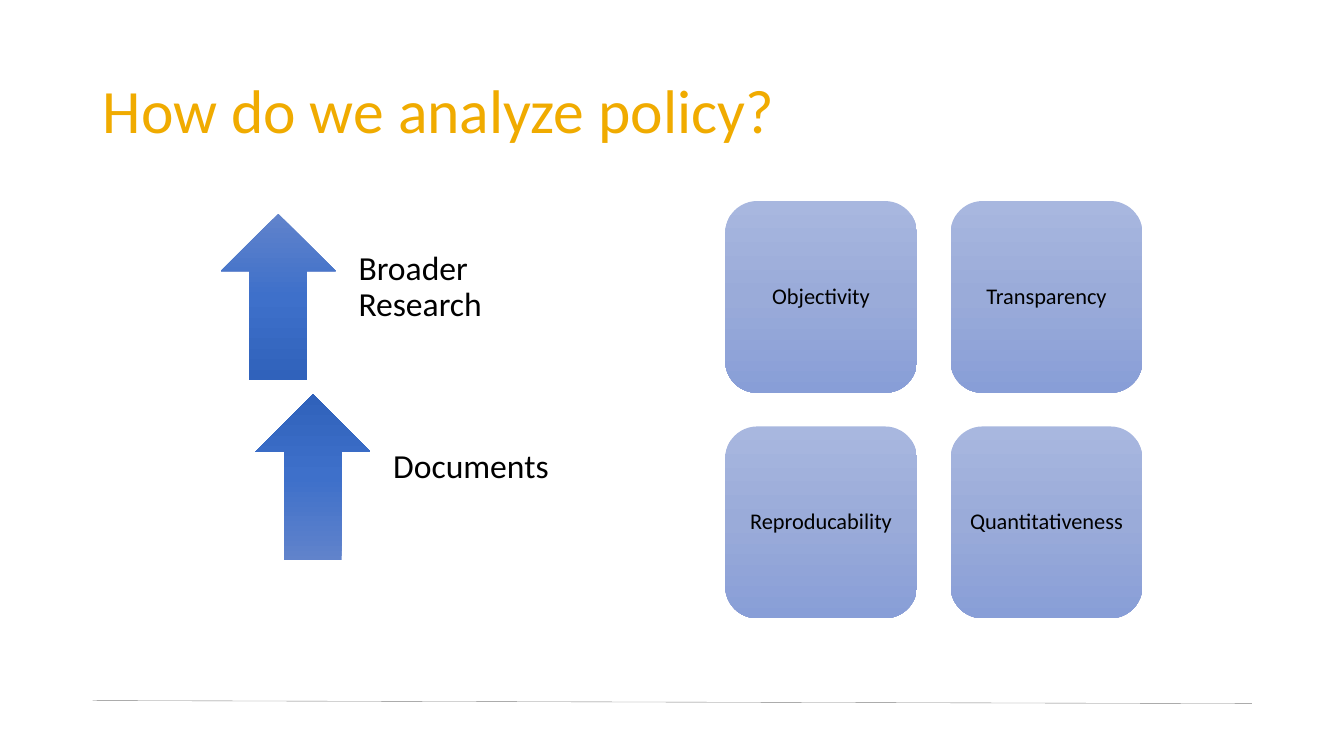
from copy import deepcopy
from dataclasses import dataclass

from lxml import etree
from pptx import Presentation
from pptx.dml.color import RGBColor
from pptx.enum import shapes, text
from pptx.oxml import ns
from pptx.util import Pt


@dataclass(frozen=True)
class Theme:
    font: str = "Calibri"
    title_color: str = "F0AB00"
    text_color: str = "000000"
    rule_color: str = "808080"
    arrow_gradient: tuple = ("6183CB", "3E70CA", "3062BB")
    tile_gradient: tuple = ("A8B7DF", "9AABD9", "889ED7")
    title_size: int = 44
    label_size: int = 24
    tile_size: int = 16


THEME = Theme()


def write(shape, words, size, color, alignment, insets):
    """Put one paragraph in a shape, vertically centred."""
    frame = shape.text_frame
    frame.text = words
    frame.word_wrap = True
    frame.auto_size = text.MSO_AUTO_SIZE.NONE
    frame.vertical_anchor = text.MSO_ANCHOR.MIDDLE
    (frame.margin_left, frame.margin_top,
     frame.margin_right, frame.margin_bottom) = (Pt(inset) for inset in insets)
    paragraph = frame.paragraphs[0]
    paragraph.alignment = alignment
    paragraph.line_spacing = 0.9
    font = paragraph.runs[0].font
    font.name = THEME.font
    font.size = Pt(size)
    font.color.rgb = RGBColor.from_string(color)


def add_gradient_shape(slide, kind, box, colors):
    """Add a preset shape with a three-stop gradient from top to bottom."""
    shape = slide.shapes.add_shape(kind, *(Pt(value) for value in box))
    shape.shadow.inherit = False
    shape.line.fill.background()
    shape.fill.gradient()
    shape.fill.gradient_angle = 270
    stop_list = shape.fill._fill._gradFill.find(ns.qn("a:gsLst"))
    stop_list.append(deepcopy(stop_list[-1]))
    for stop, color, position in zip(shape.fill.gradient_stops, colors, (0, 0.5, 1)):
        stop.color.rgb = RGBColor.from_string(color)
        stop.position = position
    return shape


def add_title(slide, box, words):
    title = slide.shapes.title
    title.left, title.top, title.width, title.height = (Pt(value) for value in box)
    write(title, words, THEME.title_size, THEME.title_color,
          text.PP_ALIGN.LEFT, (7.2, 3.6, 7.2, 3.6))


def add_footer_rule(slide, left, top, right, bottom):
    rule = slide.shapes.add_connector(
        shapes.MSO_CONNECTOR.STRAIGHT, Pt(left), Pt(top), Pt(right), Pt(bottom))
    rule.line.color.rgb = RGBColor.from_string(THEME.rule_color)
    rule.line.width = Pt(0.25)
    etree.SubElement(rule._element.spPr, ns.qn("a:effectLst"))


def add_arrow_list(slide, box, labels):
    """Stack labelled up arrows, each row stepped to the right."""
    left, top, width, height = box
    arrow_width, arrow_height, step, label_offset = 82.1, 118.8, 24.8, 85
    row_pitch = height - arrow_height
    label_width = width - step - label_offset
    kinds = ((shapes.MSO_SHAPE.UP_ARROW, 0), (shapes.MSO_SHAPE.DOWN_ARROW, 180))
    for row, (label, (kind, rotation)) in enumerate(zip(labels, kinds)):
        x, y = left + row * step, top + row * row_pitch
        arrow = add_gradient_shape(
            slide, kind, (x, y, arrow_width, arrow_height), THEME.arrow_gradient)
        arrow.rotation = rotation
        label_box = slide.shapes.add_textbox(
            Pt(x + label_offset), Pt(y), Pt(label_width), Pt(arrow_height))
        write(label_box, label, THEME.label_size, THEME.text_color,
              text.PP_ALIGN.LEFT, (13.4, 0, 13.4, 13.4))


def add_tile_grid(slide, box, labels):
    """Fill a square box with a two-by-two grid of rounded tiles."""
    left, top, size = box
    gap = 24
    tile = (size - gap) / 2
    for index, label in enumerate(labels):
        row, column = divmod(index, 2)
        x, y = left + column * (tile + gap), top + row * (tile + gap)
        shape = add_gradient_shape(
            slide, shapes.MSO_SHAPE.ROUNDED_RECTANGLE, (x, y, tile, tile),
            THEME.tile_gradient)
        write(shape, label, THEME.tile_size, THEME.text_color,
              text.PP_ALIGN.CENTER, (4.7,) * 4)


def main():
    presentation = Presentation()
    presentation.slide_width, presentation.slide_height = Pt(960), Pt(540)
    slide = presentation.slides.add_slide(presentation.slide_layouts[5])

    # Frame: footer rule and title
    add_footer_rule(slide, 66.2, 500.4, 894.2, 502.6)
    add_title(slide, (66.2, 28.8, 828, 104.4), "How do we analyze policy?")

    # Left: sources
    add_arrow_list(slide, (157.7, 152.6, 249.6, 247.7),
                   ("Broader Research", "Documents"))

    # Right: criteria
    add_tile_grid(slide, (518, 143.6, 298),
                  ("Objectivity", "Transparency", "Reproducability", "Quantitativeness"))

    presentation.save("out.pptx")


if __name__ == "__main__":
    main()
